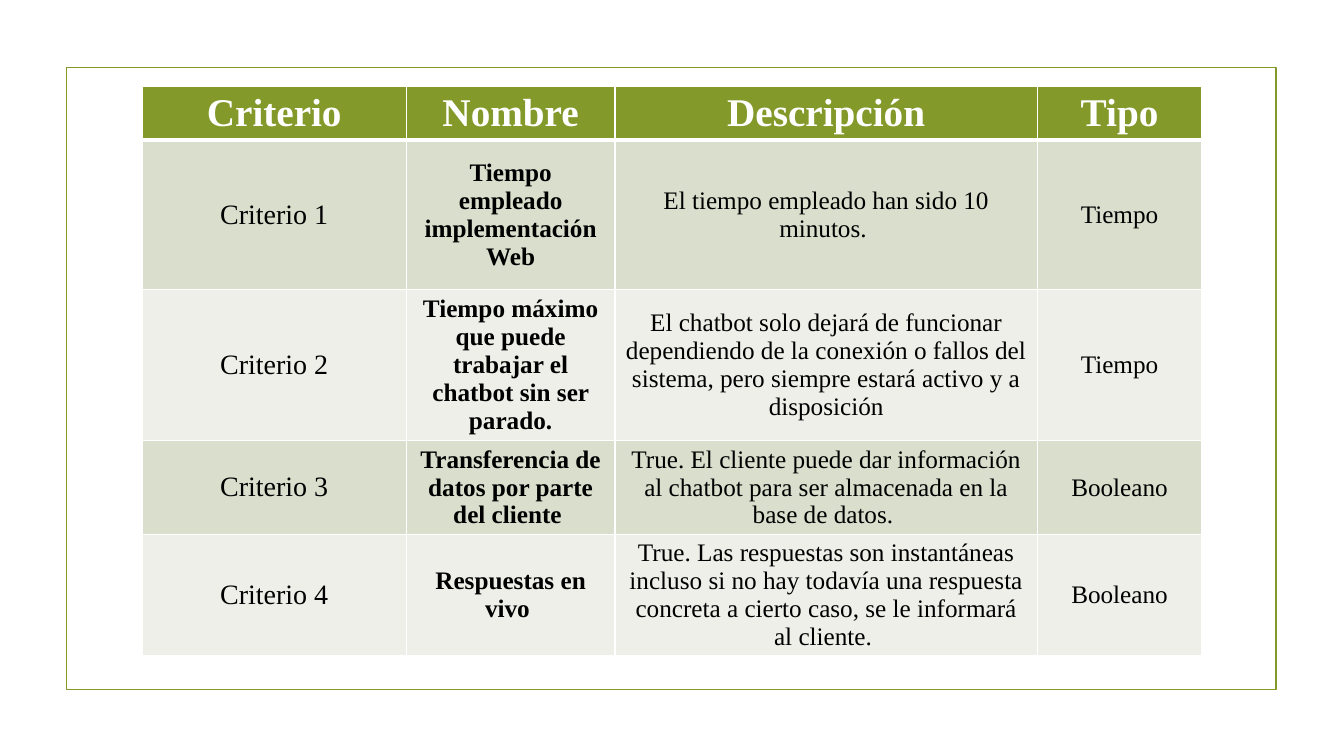
from lxml.etree import SubElement
from pptx import Presentation
from pptx.dml.color import RGBColor
from pptx.enum.shapes import MSO_SHAPE
from pptx.enum.text import MSO_ANCHOR, PP_ALIGN
from pptx.oxml.ns import qn
from pptx.util import Inches, Pt

GREEN = RGBColor(0x83, 0x99, 0x2A)
SAGE = RGBColor(0xD9, 0xDE, 0xCD)
PALE = RGBColor(0xED, 0xEF, 0xE8)
WHITE = RGBColor(0xFF, 0xFF, 0xFF)
BLACK = RGBColor(0x00, 0x00, 0x00)
FONT = "Times New Roman"

ROWS = [
    ("Criterio", "Nombre", "Descripción", "Tipo"),
    ("Criterio 1", "Tiempo empleado implementación Web",
     "El tiempo empleado han sido 10 minutos. ", "Tiempo"),
    ("Criterio 2", "Tiempo máximo que puede trabajar el chatbot sin ser parado.",
     "El chatbot solo dejará de funcionar dependiendo de la conexión o fallos del "
     "sistema, pero siempre estará activo y a disposición", "Tiempo"),
    ("Criterio 3", "Transferencia de datos por parte del cliente ",
     "True. El cliente puede dar información al chatbot para ser almacenada en la "
     "base de datos. ", "Booleano"),
    ("Criterio 4", "Respuestas en vivo ",
     "True. Las respuestas son instantáneas incluso si no hay todavía una respuesta "
     "concreta a cierto caso, se le informará al cliente. ", "Booleano"),
]
WIDTHS = [2.62, 2.07, 4.19, 1.63]
HEIGHTS = [0.53, 1.48, 1.5, 0.93, 1.2]
SIZES = [20, 18, 18, 18]


def border(cell, low):
    props = cell._tc.get_or_add_tcPr()
    for side in ("L", "R", "T", "B"):
        width = low if side == "B" else 1
        line = SubElement(props, qn(f"a:ln{side}"), w=str(Pt(width)))
        fill = SubElement(line, qn("a:solidFill"))
        SubElement(fill, qn("a:srgbClr"), val=str(WHITE))


def write(cell, text, size, bold, color):
    cell.vertical_anchor = MSO_ANCHOR.MIDDLE
    para = cell.text_frame.paragraphs[0]
    para.alignment = PP_ALIGN.CENTER
    run = para.add_run()
    run.text = text
    run.font.name = FONT
    run.font.size = Pt(size)
    run.font.bold = bold
    run.font.color.rgb = color


def main():
    deck = Presentation()
    deck.slide_width, deck.slide_height = Inches(13.33), Inches(7.5)
    slide = deck.slides.add_slide(deck.slide_layouts[6])

    frame = slide.shapes.add_shape(
        MSO_SHAPE.RECTANGLE, Inches(0.66), Inches(0.67), Inches(12), Inches(6.17))
    frame.shadow.inherit = False
    frame.fill.background()
    frame.line.color.rgb = GREEN
    frame.line.width = Pt(1.25)

    table = slide.shapes.add_table(
        len(ROWS), len(WIDTHS), Inches(1.41), Inches(0.86),
        Inches(sum(WIDTHS)), Inches(sum(HEIGHTS))).table
    for col, width in zip(table.columns, WIDTHS):
        col.width = Inches(width)
    for row, height in zip(table.rows, HEIGHTS):
        row.height = Inches(height)

    for r, texts in enumerate(ROWS):
        head = r == 0
        shade = GREEN if head else SAGE if r % 2 else PALE
        for c, text in enumerate(texts):
            cell = table.cell(r, c)
            border(cell, 3 if head else 1)
            cell.fill.solid()
            cell.fill.fore_color.rgb = shade
            write(cell, text, 28 if head else SIZES[c], head or c == 1,
                  WHITE if head else BLACK)

    deck.save("out.pptx")


if __name__ == "__main__":
    main()
